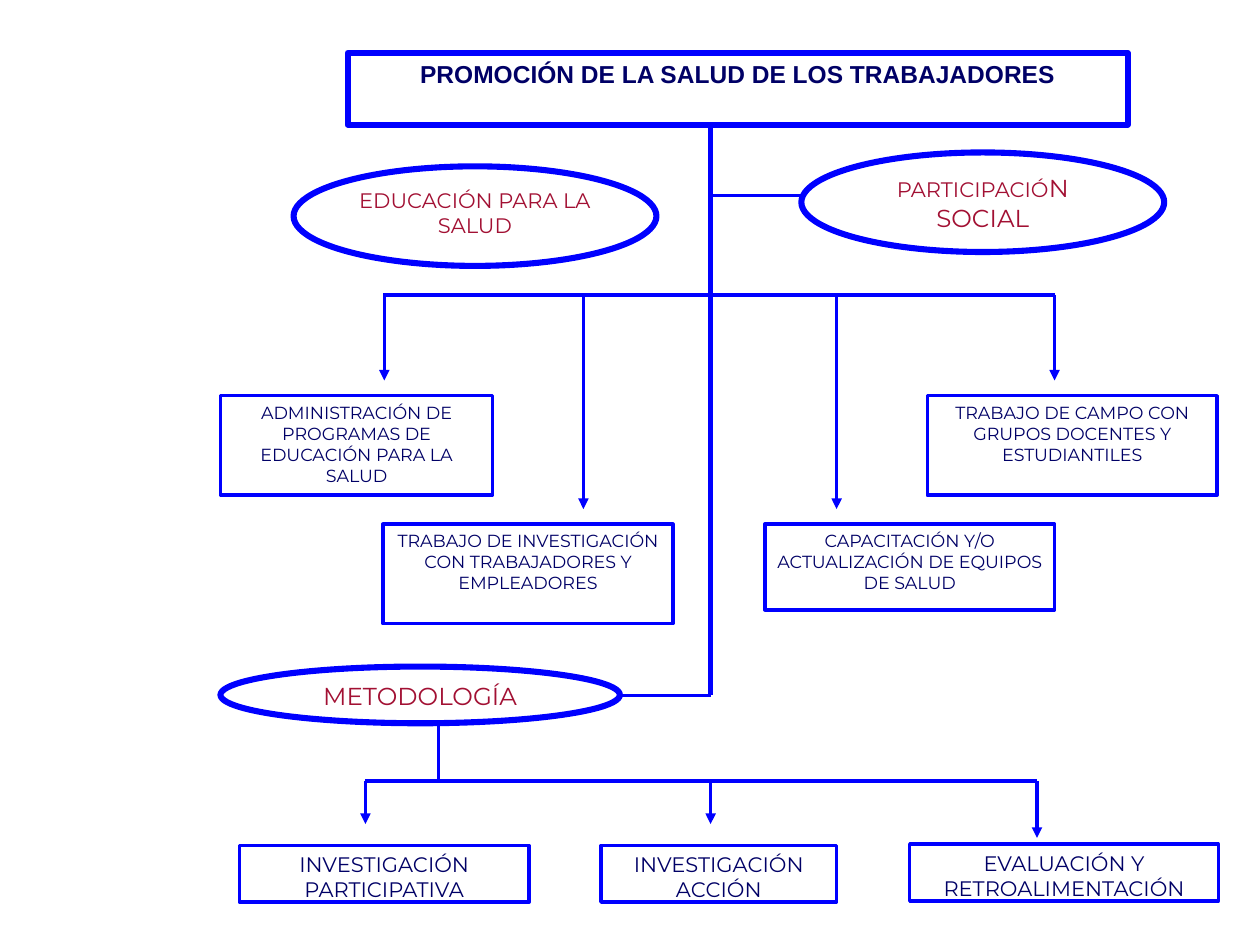
from lxml.etree import SubElement
from pptx import Presentation
from pptx.dml.color import RGBColor
from pptx.enum.shapes import MSO_CONNECTOR, MSO_SHAPE
from pptx.enum.text import MSO_ANCHOR, PP_ALIGN
from pptx.oxml.ns import qn
from pptx.util import Inches, Pt

COLORS = {"line": "0000FF", "navy": "000066", "red": "A21033"}
CELL = 0.1  # inches; the slide is a grid of 100 columns by 75 rows

TITLE = {"size": Pt(14), "name": "Arial", "bold": True}
SMALL, MID, LARGE = ({"size": Pt(size), "name": "Montserrat"}
                     for size in (10, 12, 14))

STEM = 56.4      # column of the main trunk
BRANCH = 23.4    # row of the upper bar
METHOD = 55.2    # row where the trunk turns to the method
FORK = 62        # row of the lower bar

# left, top, width, height, text, font
BOXES = [
    (17.5, 31.4, 21.6, 7.9,
     "ADMINISTRACIÓN DE PROGRAMAS DE EDUCACIÓN PARA LA SALUD", SMALL),
    (30.4, 41.6, 23, 7.9,
     "TRABAJO DE INVESTIGACIÓN CON TRABAJADORES Y EMPLEADORES", SMALL),
    (60.7, 41.6, 23, 6.8,
     "CAPACITACIÓN Y/O ACTUALIZACIÓN DE EQUIPOS DE SALUD", SMALL),
    (73.6, 31.4, 23, 7.9,
     "TRABAJO DE CAMPO CON GRUPOS DOCENTES Y ESTUDIANTILES", SMALL),
    (19, 67.1, 23, 4.5, "INVESTIGACIÓN PARTICIPATIVA", MID),
    (47.7, 67.1, 18.7, 4.5, "INVESTIGACIÓN ACCIÓN", MID),
    (72.2, 67, 24.5, 4.5, "EVALUACIÓN Y RETROALIMENTACIÓN", MID),
]
# left, top, width, height, runs
OVALS = [
    (23.3, 13.2, 28.8, 7.9, [("EDUCACIÓN PARA LA SALUD", MID)]),
    (63.6, 12.1, 28.8, 7.9, [("PARTICIPACIÓ", MID), ("N SOCIAL", LARGE)]),
    (17.5, 52.9, 31.7, 4.5, [("METODOLOGÍA", LARGE)]),
]
# column, start row, end row
ARROWS = [
    (30.5, BRANCH, 30.2), (46.3, BRANCH, 40.4),
    (66.4, BRANCH, 40.4), (83.7, BRANCH, 30.2),
    (29, FORK, 65.4), (STEM, FORK, 65.4), (82.3, FORK, 66.5),
]
# start column and row, end column and row
BARS = [
    (63.6, 15.5, STEM, 15.5),
    (30.4, BRANCH, 83.7, BRANCH),
    (STEM, METHOD, 49.2, METHOD),
    (34.8, 57.4, 34.8, FORK),
    (29, FORK, 82.3, FORK),
]


def grid(*cells):
    return [Inches(cell * CELL) for cell in cells]


def rgb(name):
    return RGBColor.from_string(COLORS[name])


def stroke(item, width):
    item.line.color.rgb = rgb("line")
    item.line.width = Pt(width)


def add_node(slide, kind, place, runs, color, width):
    """Add an unfilled outline with centred text; runs are (text, font) pairs."""
    node = slide.shapes.add_shape(kind, *grid(*place))
    node.shadow.inherit = False
    node.fill.background()
    stroke(node, width)
    frame = node.text_frame
    frame.word_wrap = True
    frame.vertical_anchor = MSO_ANCHOR.TOP
    para = frame.paragraphs[0]
    para.alignment = PP_ALIGN.CENTER
    for text, style in runs:
        run = para.add_run()
        run.text = text
        run.font.color.rgb = rgb(color)
        for key, value in style.items():
            setattr(run.font, key, value)


def add_line(slide, ends, width=2, arrow=False):
    line = slide.shapes.add_connector(MSO_CONNECTOR.STRAIGHT, *grid(*ends))
    stroke(line, width)
    if arrow:
        SubElement(line.line._get_or_add_ln(), qn("a:tailEnd"), type="triangle")
    SubElement(line._element.spPr, qn("a:effectLst"))


def main():
    deck = Presentation()
    deck.slide_width, deck.slide_height = grid(100, 75)
    slide = deck.slides.add_slide(deck.slide_layouts[6])

    add_node(slide, MSO_SHAPE.RECTANGLE, (27.6, 4.2, 61.9, 5.7),
             [("PROMOCIÓN DE LA SALUD DE LOS TRABAJADORES", TITLE)], "navy", 3.5)
    add_line(slide, (STEM, 9.8, STEM, METHOD), width=2.5)
    for *place, text, style in BOXES:
        add_node(slide, MSO_SHAPE.RECTANGLE, place, [(text, style)], "navy", 2)
    for *place, runs in OVALS:
        add_node(slide, MSO_SHAPE.OVAL, place, runs, "red", 3.5)
    for ends in BARS:
        add_line(slide, ends)
    for col, top, end in ARROWS:
        add_line(slide, (col, top, col, end), arrow=True)

    deck.save("out.pptx")


if __name__ == "__main__":
    main()
